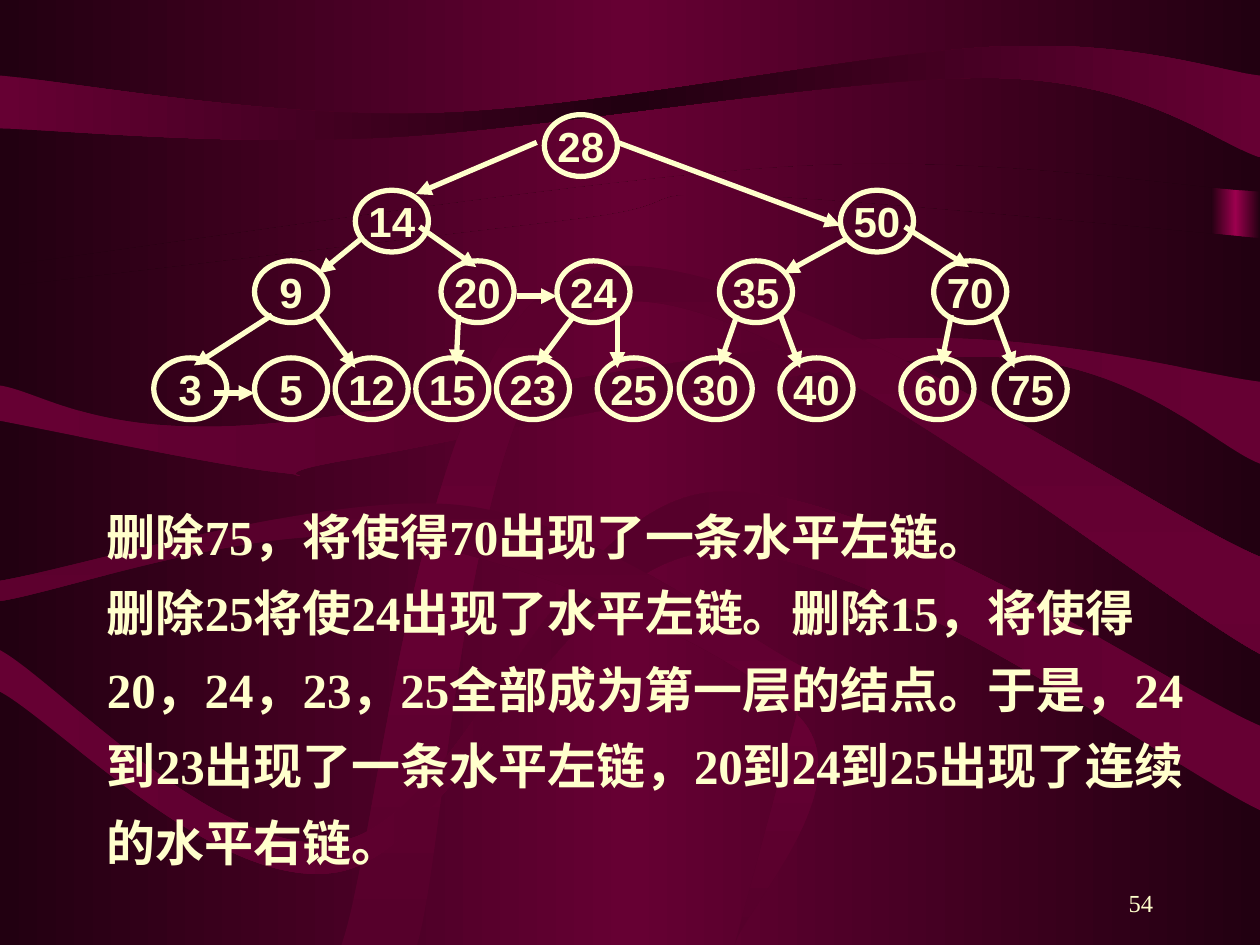
from copy import deepcopy
from itertools import pairwise

from lxml.etree import SubElement
from pptx import Presentation
from pptx.dml.color import RGBColor
from pptx.enum.shapes import MSO_CONNECTOR as Connector, MSO_SHAPE as Shape
from pptx.enum.text import MSO_ANCHOR as Anchor, MSO_AUTO_SIZE as AutoSize, PP_ALIGN as Align
from pptx.oxml.ns import qn
from pptx.util import Pt

PX = 9144
CREAM = RGBColor(0xFF, 0xFF, 0xCC)
NIGHT = RGBColor(0x22, 0x00, 0x11)
WINE = RGBColor(0x66, 0x00, 0x33)
PLUM = RGBColor(0x56, 0x00, 0x2B)
MAGENTA = RGBColor(0x9C, 0x00, 0x4E)

NODE_WIDTH, NODE_HEIGHT = 58, 49
SIBLING_GAP, SIBLING_DROP = 32, 28
LEVELS = [
    (0, {"28": 310}),
    (60, {"14": 160, "50": 545}),
    (116, {"9": 80, "20": 228, "24": 320, "35": 449, "70": 619}),
    (193, {"3": 0, "5": 80, "12": 144, "15": 208, "23": 272, "25": 352,
           "30": 417, "40": 497, "60": 593, "75": 667}),
]
BRANCHES = [
    ((-35, -2, 19, 3), ["28-14"]),
    ((29, -2, -29, 28), ["28-50"]),
    ((-25, 15, 22, 10), ["14-9", "50-35"]),
    ((22, 5, -1, 5), ["14-20", "50-70"]),
    ((-15, 19, 3, 6), ["9-3", "20-15", "24-23", "35-30", "70-60"]),
    ((19, 18, -13, 8), ["9-12", "24-25", "35-40", "70-75"]),
]
SIBLINGS = ["24", "5"]
RIBBONS = [
    (NIGHT, WINE, 0, [(0, 0), (1000, 0)], [(1000, 152), (625, 132), (0, 211)]),
    (NIGHT, WINE, 0, [(0, 228), (458, 174), (586, 155), (1000, 189)], [(1000, 750), (0, 750)]),
    (WINE, NIGHT, 0, [(0, 102), (308, 109), (794, 62), (1000, 125)],
     [(1000, 60), (792, 37), (345, 90), (0, 60)]),
    (WINE, PLUM, 0, [(0, 334), (222, 375), (282, 364), (780, 283), (1000, 368)],
     [(1000, 303), (701, 269), (190, 338), (0, 306)]),
    (PLUM, WINE, 90, [(271, 750), (454, 218), (1000, 442)],
     [(1000, 519), (479, 243), (331, 750)]),
    (WINE, PLUM, 0, [(0, 549), (269, 692), (565, 438), (1000, 643)],
     [(1000, 576), (562, 391), (273, 667), (0, 516)]),
    (PLUM, WINE, 90, [(0, 477), (314, 428), (637, 572), (583, 750)],
     [(642, 532), (366, 401), (0, 461)]),
]
BODY = [
    "删除75，将使得70出现了一条水平左链。",
    "删除25将使24出现了水平左链。删除15，将使得20，24，23，25全部成为第一层的结点。"
    "于是，24到23出现了一条水平左链，20到24到25出现了连续的水平右链。",
]


def fill_gradient(fill, edge, middle, angle):
    """Fill with a three-stop gradient whose two ends share a colour."""
    fill.gradient()
    fill.gradient_angle = angle
    first = fill.gradient_stops[0]._gs
    first.addnext(deepcopy(first))
    for stop, color, position in zip(fill.gradient_stops, (edge, middle, edge), (0, 0.5, 1)):
        stop.color.rgb = color
        stop.position = position


def write_text(shape, lines, size=24, font="Arial", bold=False, align=Align.LEFT,
               anchor=Anchor.TOP, side_inset=10, spacing=None):
    """Write one paragraph for each line into a shape."""
    frame = shape.text_frame
    frame.word_wrap = True
    frame.vertical_anchor = anchor
    frame.margin_left = frame.margin_right = side_inset * PX
    frame.margin_top = frame.margin_bottom = 5 * PX
    for index, line in enumerate(lines):
        para = frame.add_paragraph() if index else frame.paragraphs[0]
        para.alignment = align
        para.line_spacing = spacing
        span = para.add_run()
        span.text = line
        span.font.name = font
        span.font.size = Pt(size)
        span.font.bold = bold
        span.font.color.rgb = CREAM


def smooth_strand(points):
    """Return the Bézier points of a Catmull-Rom curve after its first point."""
    padded = [points[0], *points, points[-1]]
    slopes = [((after[0] - before[0]) / 6, (after[1] - before[1]) / 6)
              for before, after in zip(padded, padded[2:])]
    curve = []
    for (start, leave), (end, arrive) in pairwise(zip(points, slopes)):
        curve += [(start[0] + leave[0], start[1] + leave[1]),
                  (end[0] - arrive[0], end[1] - arrive[1]), end]
    return curve


def add_ribbon(page, left, top, edge, middle, angle, lower, upper):
    """Draw a closed band between two smooth strands."""
    curves = smooth_strand(lower), smooth_strand(upper)
    outline = [(left + x, top + y) for x, y in [lower[0], *curves[0], upper[0], *curves[1]]]
    builder = page.shapes.build_freeform(*outline[0], scale=PX)
    builder.add_line_segments(outline[1:], close=True)
    ribbon = builder.convert_to_shape()
    segments = list(ribbon._element.iter(qn("a:lnTo")))
    bridge = len(curves[0])
    finish = bridge + 1 + len(curves[1])
    for index in [*range(0, bridge, 3), *range(bridge + 1, finish, 3)]:
        cubic, *rest = segments[index:index + 3]
        cubic.tag = qn("a:cubicBezTo")
        for segment in rest:
            cubic.append(segment[0])
            segment.getparent().remove(segment)
    finish_backdrop_shape(ribbon, edge, middle, angle)


def finish_backdrop_shape(shape, edge, middle, angle):
    """Give a backdrop shape its gradient, without outline or shadow."""
    shape.shadow.inherit = False
    shape.line.fill.background()
    fill_gradient(shape.fill, edge, middle, angle)


def add_backdrop(page, box):
    """Paint the background and its flowing ribbons."""
    left, top, width, height = box
    fill_gradient(page.background.fill, NIGHT, WINE, 0)
    glow = page.shapes.add_shape(
        Shape.RECTANGLE, (left + width - 39) * PX, (top + 49) * PX, 39 * PX, 345 * PX)
    finish_backdrop_shape(glow, NIGHT, MAGENTA, 0)
    for ribbon in RIBBONS:
        add_ribbon(page, left, top, *ribbon)


def add_node(page, left, top, label):
    """Draw one numbered tree node."""
    node = page.shapes.add_shape(
        Shape.OVAL, left * PX, top * PX, NODE_WIDTH * PX, NODE_HEIGHT * PX)
    node.shadow.inherit = False
    node.fill.background()
    node.line.color.rgb = CREAM
    node.line.width = Pt(3)
    write_text(node, [label], bold=True, align=Align.CENTER, anchor=Anchor.MIDDLE, side_inset=0)


def add_arrow(page, *ends):
    """Draw a straight arrow from its start x and y to its end x and y."""
    arrow = page.shapes.add_connector(Connector.STRAIGHT, *(value * PX for value in ends))
    arrow.line.color.rgb = CREAM
    arrow.line.width = Pt(3)
    SubElement(arrow.line._get_or_add_ln(), qn("a:tailEnd"), type="triangle")
    SubElement(arrow._element.spPr, qn("a:effectLst"))


def add_tree(page, box):
    """Draw the search tree with its arrows."""
    left, top = box[:2]
    nodes = {label: (left + x, top + y) for y, row in LEVELS for label, x in row.items()}
    for label, place in nodes.items():
        add_node(page, *place, label)
    half_width, half_height = NODE_WIDTH // 2, NODE_HEIGHT // 2
    for (start_dx, start_dy, end_dx, end_dy), edges in BRANCHES:
        for edge in edges:
            (x1, y1), (x2, y2) = (nodes[label] for label in edge.split("-"))
            add_arrow(page, x1 + half_width + start_dx, y1 + half_height + start_dy,
                      x2 + half_width + end_dx, y2 + end_dy)
    for label in SIBLINGS:
        x, y = nodes[label]
        add_arrow(page, x - SIBLING_GAP, y + SIBLING_DROP, x, y + SIBLING_DROP)


def add_text_region(page, box, lines, **style):
    """Place a text box in the given box and return it."""
    region = page.shapes.add_textbox(*(value * PX for value in box))
    write_text(region, lines, font="Times New Roman", **style)
    return region


def main():
    """Build and save the deck."""
    deck = Presentation()
    deck.slide_width, deck.slide_height = 1000 * PX, 750 * PX
    page = deck.slides.add_slide(deck.slide_layouts[6])
    add_backdrop(page, (0, 0, 1000, 750))
    add_text_region(page, (717, 683, 208, 50), ["54"], size=14,
                    align=Align.RIGHT, anchor=Anchor.BOTTOM)
    add_tree(page, (122, 91, 725, 245))
    body = add_text_region(page, (75, 383, 882, 314), BODY, size=28, bold=True, spacing=1.3)
    body.text_frame.auto_size = AutoSize.SHAPE_TO_FIT_TEXT
    deck.save("out.pptx")


if __name__ == "__main__":
    main()
